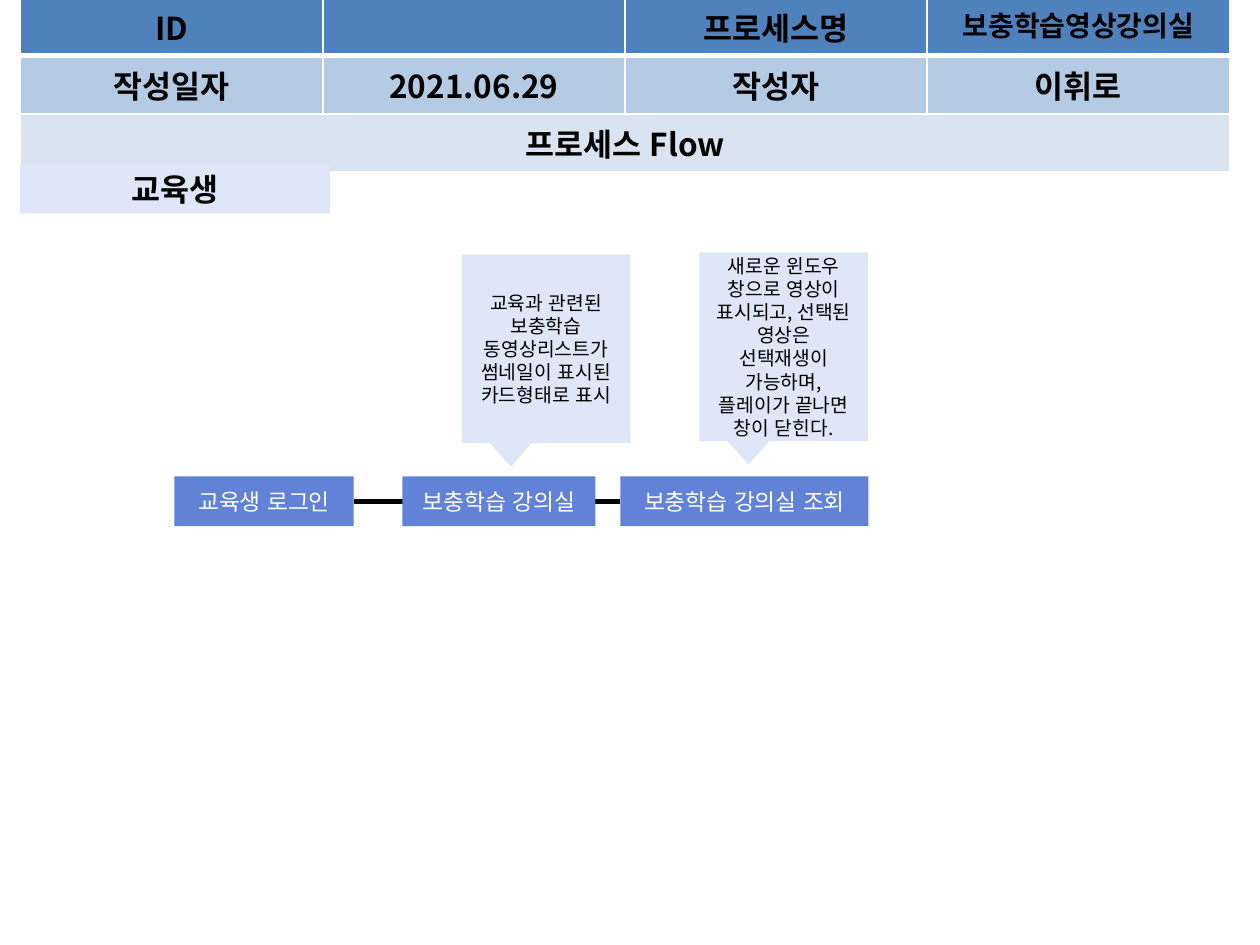
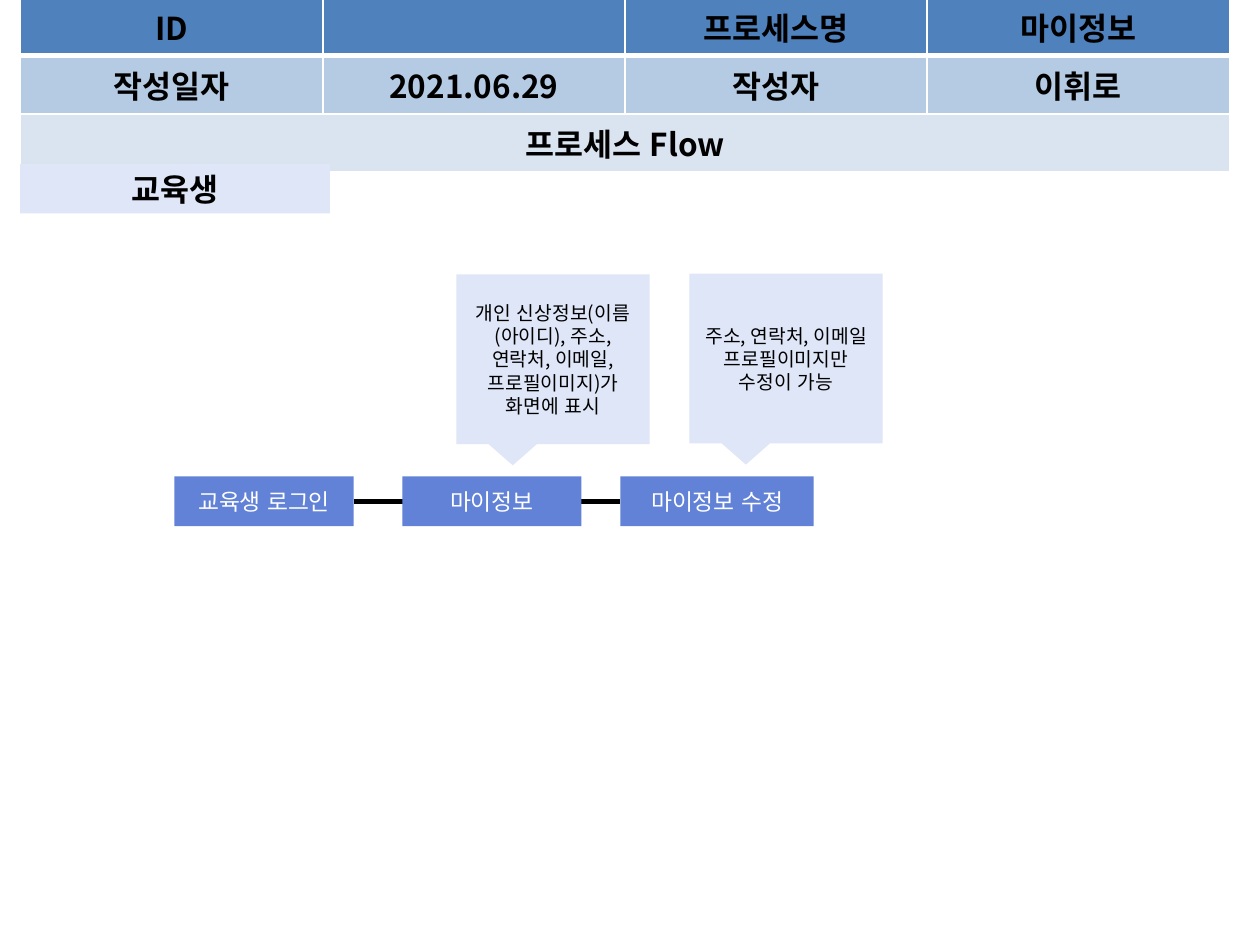
from collections import namedtuple
from dataclasses import dataclass

from lxml.etree import SubElement
from pptx import Presentation
from pptx.dml.color import RGBColor as Color
from pptx.enum.lang import MSO_LANGUAGE_ID as Language
from pptx.enum.shapes import MSO_CONNECTOR as Connector, MSO_SHAPE as Preset
from pptx.enum.text import MSO_ANCHOR as Anchor, PP_ALIGN as Align
from pptx.oxml.ns import qn
from pptx.util import Pt

Box = namedtuple("Box", "left top width height")
Step = namedtuple("Step", "label left width")
Note = namedtuple("Note", "text box")
Process = namedtuple("Process", "name name_size steps notes")


@dataclass(frozen=True)
class Theme:
    font: str = "Noto Sans CJK KR"
    black: str = "000000"
    white: str = "FFFFFF"
    step: str = "6182D6"
    pale: str = "DFE6F7"
    rows: tuple = ("4F81BD", "B5CAE3", "DAE4F1")
    heading_size: int = 18
    step_size: int = 13
    note_size: int = 11
    thin: int = 1
    thick: int = 3


THEME = Theme()
HEADER = Box(11.8, -1.5, 690.8, 87.84)
ROLE = Box(11.5, 93.8, 177, 28.2)
FLOW = Box(99.7, 272.2, 400.2, 28.5)
CALLOUT_TIP = (-0.208, 0.625)


def write(frame, text, size, color, bold=False):
    """Put one centred line of text in a frame."""
    para = frame.paragraphs[0]
    para.alignment = Align.CENTER
    span = para.add_run()
    span.text = text
    font = span.font
    font.name, font.size, font.bold = THEME.font, Pt(size), bold
    font.language_id = Language.KOREAN
    font.color.rgb = Color.from_string(color)
    SubElement(font._element, qn("a:ea"), typeface=THEME.font)


def add_block(page, preset, box, fill, text, size, color, bold=False):
    """Add a filled shape without outline, holding centred text."""
    block = page.shapes.add_shape(preset, *map(Pt, box))
    block.shadow.inherit = False
    block.fill.solid()
    block.fill.fore_color.rgb = Color.from_string(fill)
    block.line.fill.background()
    block.text_frame.word_wrap = True
    block.text_frame.vertical_anchor = Anchor.MIDDLE
    write(block.text_frame, text, size, color, bold)
    return block


def style_cell(cell, fill, top, bottom):
    """Give a cell white borders and a solid fill."""
    props = cell._tc.get_or_add_tcPr()
    sides = {"L": THEME.thin, "R": THEME.thin, "T": top, "B": bottom}
    for side, width in sides.items():
        border = SubElement(props, qn(f"a:ln{side}"), w=str(Pt(width)))
        paint = SubElement(border, qn("a:solidFill"))
        SubElement(paint, qn("a:srgbClr"), val=THEME.white)
    cell.fill.solid()
    cell.fill.fore_color.rgb = Color.from_string(fill)


def add_header(page, box, process):
    """Add the process table; the first quarter is split in two columns."""
    quarter = box.width / 4
    widths = (73.4, quarter - 73.4, quarter, quarter, quarter)
    table = page.shapes.add_table(3, len(widths), *map(Pt, box)).table
    for column, width in zip(table.columns, widths):
        column.width = Pt(width)
    for index, fill in enumerate(THEME.rows):
        table.rows[index].height = Pt(box.height / 3)
        top = THEME.thick if index == 1 else THEME.thin
        bottom = THEME.thick if index == 0 else THEME.thin
        for cell in table.rows[index].cells:
            style_cell(cell, fill, top, bottom)

    # Merged label cells and the full-width heading
    for row, last in enumerate((1, 1, 4)):
        table.cell(row, 0).merge(table.cell(row, last))
    texts = {
        (0, 0): "ID", (0, 3): "프로세스명", (0, 4): process.name,
        (1, 0): "작성일자", (1, 2): "2021.06.29", (1, 3): "작성자", (1, 4): "이휘로",
        (2, 0): "프로세스 Flow",
    }
    for place, text in texts.items():
        size = process.name_size if place == (0, 4) else THEME.heading_size
        write(table.cell(*place).text_frame, text, size, THEME.black, True)


def add_flow(page, box, steps):
    """Add the steps of a process, joined by one line behind them."""
    middle = box.top + box.height / 2
    start = box.left + steps[0].left + steps[0].width
    end = box.left + steps[-1].left
    line = page.shapes.add_connector(
        Connector.STRAIGHT, Pt(start), Pt(middle), Pt(end), Pt(middle))
    line.line.color.rgb = Color.from_string(THEME.black)
    line.line.width = Pt(THEME.thick)
    SubElement(line._element.spPr, qn("a:effectLst"))
    for step in steps:
        place = Box(box.left + step.left, box.top, step.width, box.height)
        add_block(page, Preset.RECTANGLE, place, THEME.step,
                  step.label, THEME.step_size, THEME.white)


def add_note(page, box, text):
    """Add a callout that points down to a step."""
    note = add_block(page, Preset.RECTANGULAR_CALLOUT, box, THEME.pale,
                     text, THEME.note_size, THEME.black)
    for index, value in enumerate(CALLOUT_TIP):
        note.adjustments[index] = value


def add_process_page(deck, process):
    """Add one process page: table, role, flow and notes."""
    page = deck.slides.add_slide(deck.slide_layouts[6])
    add_header(page, HEADER, process)
    add_block(page, Preset.RECTANGLE, ROLE, THEME.pale, "교육생",
              THEME.heading_size, THEME.black, True)
    add_flow(page, FLOW, process.steps)
    for note in process.notes:
        add_note(page, note.box, note.text)


# Step positions count from the left edge of the flow
LOGIN = Step("교육생 로그인", 0, 102.4)
SECOND, THIRD = 130.2, 254.8

PROCESSES = (
    Process(
        "보충학습영상강의실", 16,
        (LOGIN,
         Step("보충학습 강의실", SECOND, 110.4),
         Step("보충학습 강의실 조회", THIRD, 141.8)),
        (Note("교육과 관련된 보충학습 동영상리스트가 썸네일이 표시된 카드형태로 표시",
              Box(263.8, 145.4, 96.5, 107.8)),
         Note("새로운 윈도우 창으로 영상이 표시되고, 선택된 영상은 선택재생이 "
              "가능하며, 플레이가 끝나면 창이 닫힌다.",
              Box(399.6, 144.2, 96.5, 107.8))),
    ),
    Process(
        "마이정보", 18,
        (LOGIN,
         Step("마이정보", SECOND, 102.4),
         Step("마이정보 수정", THIRD, 110.4)),
        (Note("개인 신상정보(이름(아이디), 주소, 연락처, 이메일, 프로필이미지)가 "
              "화면에 표시",
              Box(260.8, 156.8, 110.4, 97)),
         Note("주소, 연락처, 이메일 프로필이미지만 수정이 가능",
              Box(394, 156.4, 110.4, 97))),
    ),
)

deck = Presentation()
deck.slide_width, deck.slide_height = Pt(720), Pt(540)
for process in PROCESSES:
    add_process_page(deck, process)
deck.save("out.pptx")
